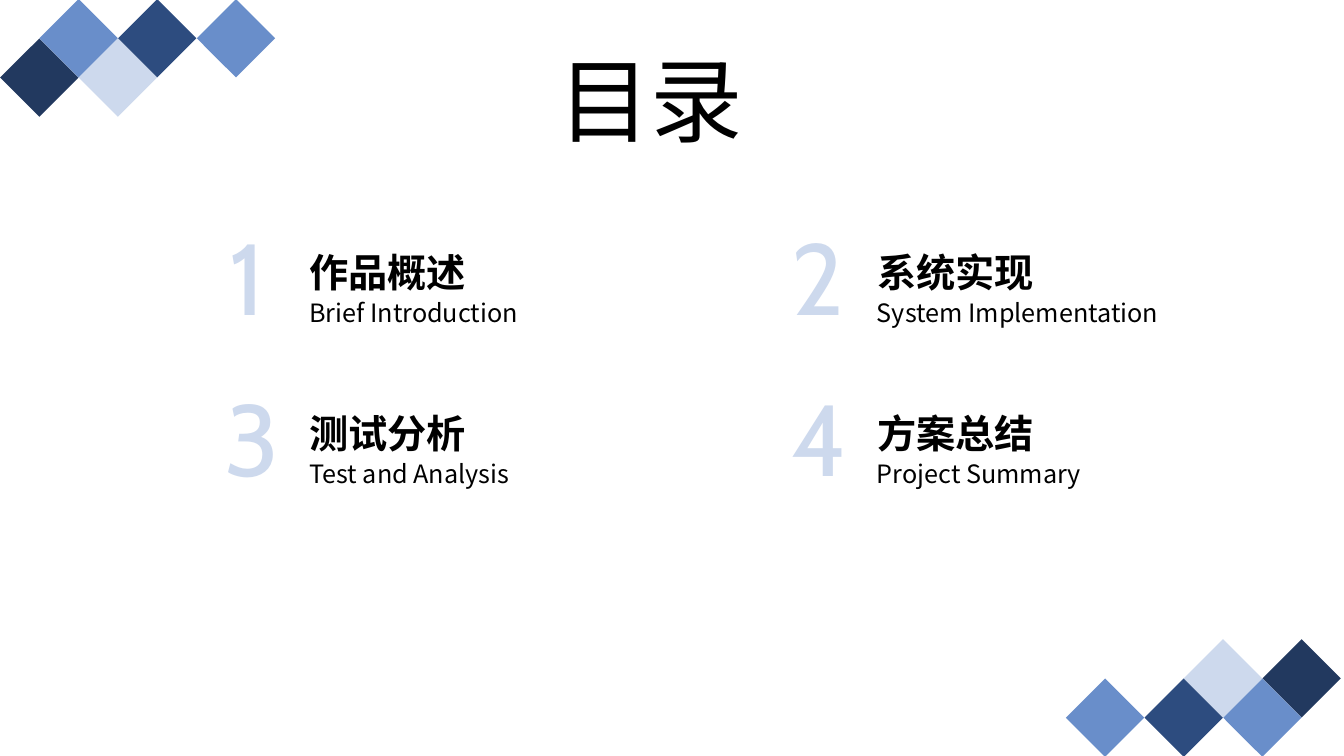
from lxml import etree
from pptx import Presentation
from pptx.dml.color import RGBColor
from pptx.enum import shapes, text
from pptx.oxml import ns
from pptx.util import Inches, Pt

BLACK = RGBColor(0x00, 0x00, 0x00)
PALE = RGBColor(0xCD, 0xD9, 0xED)
SKY = RGBColor(0x69, 0x8E, 0xCA)
NAVY = RGBColor(0x2D, 0x4C, 0x7F)
MIDNIGHT = RGBColor(0x22, 0x39, 0x5F)
DISPLAY_FONT = "Cabin"
TEXT_FONT = "Noto Sans CJK SC"

WIDTH, HEIGHT = 13.33, 7.5
TILE = 0.55
TILE_STEP = 0.39
TILE_PATTERN = [(5, 0, SKY), (0, 1, MIDNIGHT), (1, 0, SKY), (2, 1, PALE), (3, 0, NAVY)]

FIRST_ROW, ROW_STEP = 2.08, 1.6
ENTRIES = [
    ("1", "作品概述", "Brief Introduction", 0, 2.18, 2.97, 1.94, 3.1),
    ("2", "系统实现", "System Implementation", 0, 7.75, 8.6, 1.82, 4.7),
    ("3", "测试分析", "Test and Analysis", 1, 2.13, 2.97, 1.94, 5),
    ("4", "方案总结", "Project Summary", 1, 7.75, 8.6, 1.82, 4.7),
]


class AgendaSlide:
    def __init__(self, deck):
        self.slide = deck.slides.add_slide(deck.slide_layouts[5])

    def set_text(self, box, words, size, font, color=BLACK, bold=False, align=None, wrap=True):
        frame = box.text_frame
        frame.word_wrap = wrap
        frame.auto_size = text.MSO_AUTO_SIZE.SHAPE_TO_FIT_TEXT
        frame.vertical_anchor = text.MSO_ANCHOR.TOP
        paragraph = frame.paragraphs[0]
        paragraph.alignment = align
        run = paragraph.add_run()
        run.text = words
        run.font.size = Pt(size)
        run.font.bold = bold
        run.font.color.rgb = color
        run.font.name = font
        east_asian = etree.SubElement(run.font._element, ns.qn("a:ea"))
        east_asian.set("typeface", font)

    def title(self, words, left, top, width, height):
        heading = self.slide.shapes.title
        heading.left, heading.top = Inches(left), Inches(top)
        heading.width, heading.height = Inches(width), Inches(height)
        self.set_text(heading, words, 66, DISPLAY_FONT, align=text.PP_ALIGN.CENTER)

    def label(self, parent, words, left, top, width, height, size, font, **style):
        box = parent.shapes.add_textbox(Inches(left), Inches(top), Inches(width), Inches(height))
        self.set_text(box, words, size, font, **style)

    def diamonds(self, mirrored=False):
        cluster = self.slide.shapes.add_group_shape()
        for column, row, color in TILE_PATTERN:
            x = 0.39 + column * TILE_STEP
            y = 0.38 + row * TILE_STEP
            if mirrored:
                x, y = WIDTH - 0.03 - x, HEIGHT - y
            tile = cluster.shapes.add_shape(
                shapes.MSO_SHAPE.RECTANGLE,
                Inches(x - TILE / 2), Inches(y - TILE / 2), Inches(TILE), Inches(TILE))
            tile.rotation = 45
            tile.shadow.inherit = False
            tile.fill.solid()
            tile.fill.fore_color.rgb = color
            tile.line.fill.background()

    def entry(self, number, heading, subtitle, row, number_left, left, heading_width, subtitle_width):
        top = FIRST_ROW + row * ROW_STEP
        self.label(self.slide, number, number_left, top, 0.7, 1.31, 72, DISPLAY_FONT,
                   color=PALE, wrap=False)
        caption = self.slide.shapes.add_group_shape()
        self.label(caption, heading, left, top + 0.33, heading_width, 0.57, 28, TEXT_FONT,
                   bold=True, align=text.PP_ALIGN.JUSTIFY)
        self.label(caption, subtitle, left, top + 0.82, subtitle_width, 0.4, 18, TEXT_FONT)


def main():
    deck = Presentation()
    deck.slide_width, deck.slide_height = Inches(WIDTH), Inches(HEIGHT)
    agenda = AgendaSlide(deck)
    agenda.diamonds()
    agenda.diamonds(mirrored=True)
    agenda.title("目录", 5.34, 0.38, 2.23, 1.21)
    for entry in ENTRIES:
        agenda.entry(*entry)
    deck.save("out.pptx")


if __name__ == "__main__":
    main()
